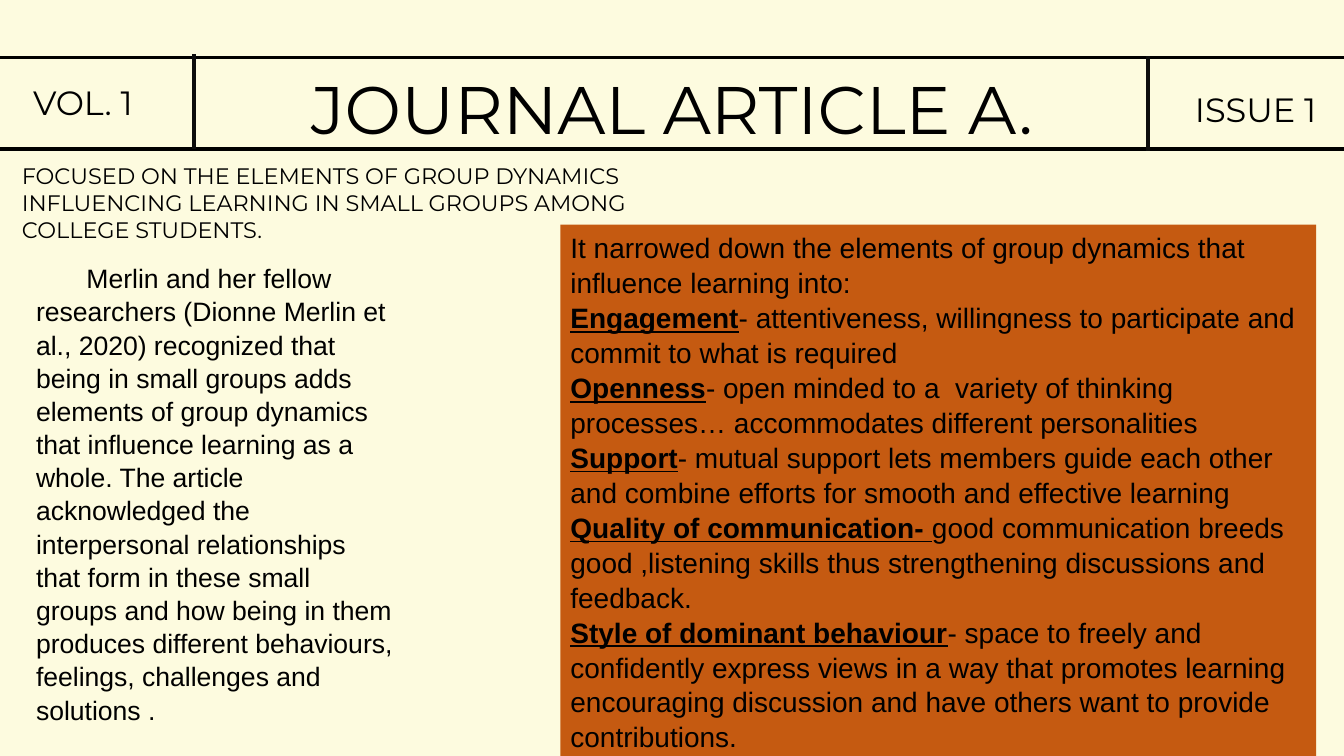
import dataclasses

import lxml.etree
import pptx
import pptx.dml.color
import pptx.enum.shapes
import pptx.enum.text
import pptx.oxml.ns
import pptx.util
from pptx.util import Cm, Pt

ALIGN = pptx.enum.text.PP_ALIGN


def color(value):
    return pptx.dml.color.RGBColor.from_string(value)


@dataclasses.dataclass(frozen=True)
class Theme:
    background = color("FDFBDF")
    ink = color("000000")
    divider = color("0D0D0D")
    panel = color("C55A11")
    heading_font = "Montserrat"
    body_font = "Arial"
    title_size = Pt(48)
    label_size = Pt(24)
    subtitle_size = Pt(16)
    summary_size = Pt(19)
    elements_size = Pt(20)
    rule_width = Pt(3)
    body_spacing = 1.04


THEME = Theme()
SLIDE_WIDTH, SLIDE_HEIGHT = Cm(33.87), Cm(19.05)

SUBTITLE = ("FOCUSED ON THE ELEMENTS OF GROUP DYNAMICS INFLUENCING LEARNING "
            "IN SMALL GROUPS AMONG COLLEGE STUDENTS.")
SUMMARY = (
    "Merlin and her fellow researchers (Dionne Merlin et al., 2020) recognized "
    "that being in small groups adds elements of group dynamics that influence "
    "learning as a whole. The article acknowledged the interpersonal "
    "relationships that form in these small groups and how being in them "
    "produces different behaviours, feelings, challenges and solutions .")
# Each entry: emphasised term, explanation
ELEMENTS = [
    ("", "It narrowed down the elements of group dynamics that influence "
         "learning into:"),
    ("Engagement", "- attentiveness, willingness to participate and commit to "
                   "what is required"),
    ("Openness", "- open minded to a\u00a0 variety of thinking processes… "
                 "accommodates different personalities"),
    ("Support", "- mutual support lets members guide each other and combine "
                "efforts for smooth and effective learning"),
    ("Quality of communication- ", "good communication breeds good ,listening "
                                   "skills thus strengthening discussions and feedback."),
    ("Style of dominant behaviour", "- space to freely and confidently express "
                                    "views in a way that promotes learning encouraging "
                                    "discussion and have others want to provide "
                                    "contributions."),
]


def add_child(parent, tag, **attributes):
    return lxml.etree.SubElement(parent, pptx.oxml.ns.qn(tag), **attributes)


def place(shape, left, top, width, height):
    shape.left, shape.top = Cm(left), Cm(top)
    shape.width, shape.height = Cm(width), Cm(height)


def add_run(paragraph, text, font, size, emphasised=False):
    run = paragraph.add_run()
    run.text = text
    run.font.name, run.font.size = font, size
    run.font.color.rgb = THEME.ink
    if emphasised:
        run.font.bold = run.font.underline = True


def format_frame(shape, wrap=True):
    frame = shape.text_frame
    frame.word_wrap = wrap
    frame.auto_size = pptx.enum.text.MSO_AUTO_SIZE.NONE
    frame.vertical_anchor = pptx.enum.text.MSO_ANCHOR.TOP
    return frame


def write_text(shape, text, font, size, align=ALIGN.LEFT, wrap=True):
    paragraph = format_frame(shape, wrap).paragraphs[0]
    paragraph.alignment = align
    add_run(paragraph, text, font, size)
    return paragraph


def add_text(slide, box, text, font, size, align=ALIGN.LEFT, wrap=True):
    shape = slide.shapes.add_textbox(*map(Cm, box))
    return write_text(shape, text, font, size, align, wrap)


def add_masthead_band(slide, top, height):
    frame = slide.shapes.add_table(1, 1, 0, Cm(top), SLIDE_WIDTH, Cm(height))
    frame.table.first_row = frame.table.horz_banding = False
    cell = frame.table.cell(0, 0)
    properties = cell._tc.get_or_add_tcPr()
    for side in "LRTB":
        line = add_child(properties, f"a:ln{side}", w=str(THEME.rule_width))
        if side in "LR":
            add_child(line, "a:noFill")
        else:
            add_child(add_child(line, "a:solidFill"), "a:srgbClr", val=str(THEME.ink))
    cell.fill.background()


def add_divider(slide, x, top, bottom):
    line = slide.shapes.add_connector(
        pptx.enum.shapes.MSO_CONNECTOR.STRAIGHT, Cm(x), Cm(top), Cm(x), Cm(bottom))
    line.line.color.rgb = THEME.divider
    line.line.width = THEME.rule_width
    add_child(line._element.spPr, "a:effectLst")


def fill_elements_panel(panel):
    panel.fill.solid()
    panel.fill.fore_color.rgb = THEME.panel
    frame = format_frame(panel)
    for index, (term, explanation) in enumerate(ELEMENTS):
        paragraph = frame.add_paragraph() if index else frame.paragraphs[0]
        paragraph.alignment = ALIGN.LEFT
        paragraph.line_spacing = THEME.body_spacing
        paragraph.space_before = Pt(0)
        properties = paragraph._p.get_or_add_pPr()
        properties.set("marL", "0")
        properties.set("indent", "0")
        add_child(properties, "a:buNone")
        if term:
            add_run(paragraph, term, THEME.body_font, THEME.elements_size, True)
        add_run(paragraph, explanation, THEME.body_font, THEME.elements_size)


def main():
    presentation = pptx.Presentation()
    presentation.slide_width, presentation.slide_height = SLIDE_WIDTH, SLIDE_HEIGHT
    slide = presentation.slides.add_slide(presentation.slide_layouts[1])
    slide.background.fill.solid()
    slide.background.fill.fore_color.rgb = THEME.background
    title, panel = slide.placeholders

    # Masthead
    add_masthead_band(slide, 1.45, 2.31)
    place(title, 6.43, 1.57, 21.01, 2.31)
    write_text(title, "JOURNAL ARTICLE A.", THEME.heading_font, THEME.title_size,
               ALIGN.CENTER, wrap=False)
    add_divider(slide, 4.88, 1.37, 3.76)
    add_divider(slide, 28.93, 1.42, 3.81)
    for label, box in (("VOL. 1", (0.3, 1.93, 3.58, 1.27)),
                       ("ISSUE 1", (29.51, 2.11, 4.27, 1.27))):
        add_text(slide, box, label, THEME.heading_font, THEME.label_size,
                 ALIGN.CENTER, wrap=False)

    # Subtitle and summary column
    add_text(slide, (0.3, 3.96, 15.82, 2.31), SUBTITLE,
             THEME.heading_font, THEME.subtitle_size)
    summary = add_text(slide, (0.66, 6.45, 9.55, 12.4), SUMMARY,
                       THEME.body_font, THEME.summary_size)
    summary.line_spacing = THEME.body_spacing
    summary._p.get_or_add_pPr().set("indent", str(Cm(1.27)))

    # Elements panel
    place(panel, 14.12, 5.66, 19.05, 13.39)
    fill_elements_panel(panel)

    presentation.save("out.pptx")


main()
